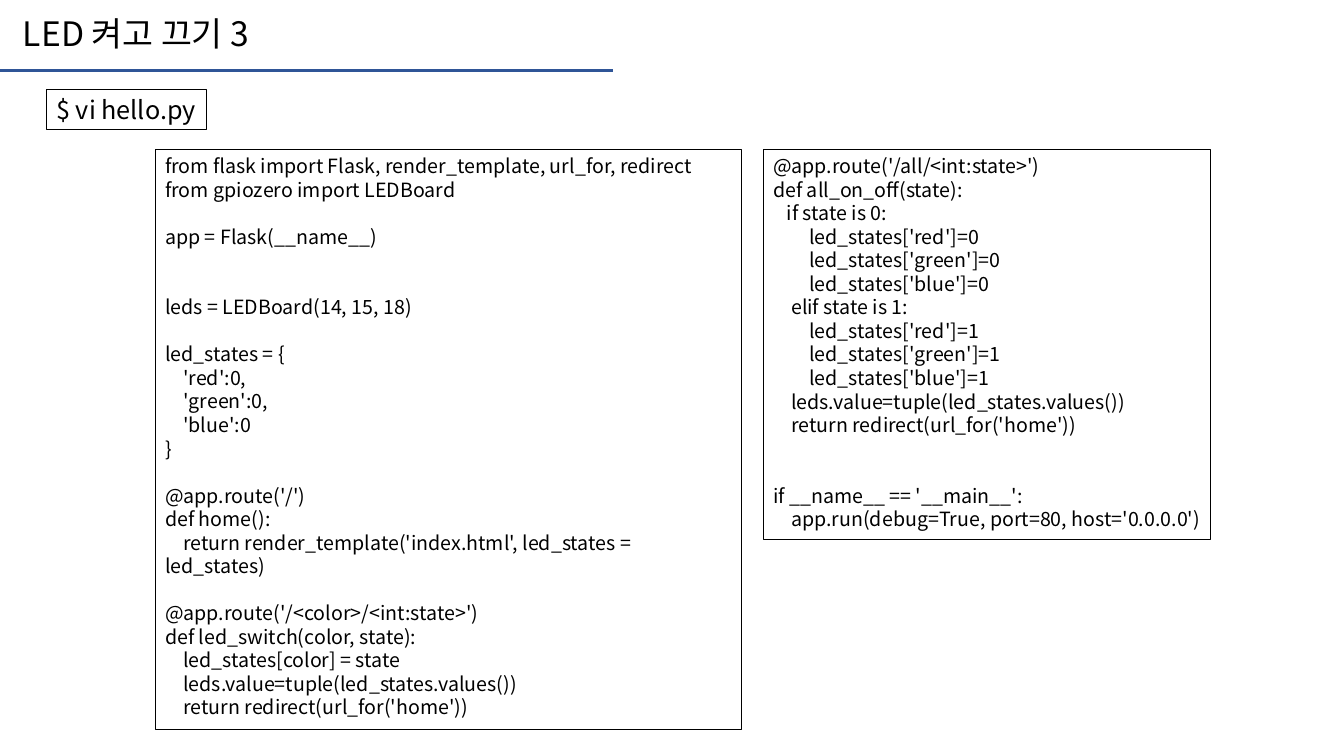
from dataclasses import dataclass

from lxml.etree import SubElement
from pptx import Presentation
from pptx.dml.color import RGBColor as Rgb
from pptx.enum.shapes import MSO_CONNECTOR as Link, MSO_SHAPE as Kind
from pptx.enum.text import MSO_ANCHOR as Anchor, MSO_AUTO_SIZE as Fit, PP_ALIGN as Align
from pptx.oxml.ns import qn
from pptx.util import Inches, Pt


@dataclass(frozen=True)
class Theme:
    font: str = "Noto Sans CJK KR"
    ink: Rgb = Rgb(0, 0, 0)
    rule: Rgb = Rgb(0x2F, 0x55, 0x97)
    title: int = 24
    file: int = 18
    code: int = 14
    edge: float = 0.75
    bar: float = 2
    lead: float = 1.2  # line pitch as a share of the type size
    space: float = 0.23  # width of one space of code indent, same share


THEME = Theme()

LEFT = """\
from flask import Flask, render_template, url_for, redirect
from gpiozero import LEDBoard

app = Flask(__name__)


leds = LEDBoard(14, 15, 18)

led_states = {
    'red':0,
    'green':0,
    'blue':0
}

@app.route('/')
def home():
    return render_template('index.html', led_states = led_states)

@app.route('/<color>/<int:state>')
def led_switch(color, state):
    led_states[color] = state
    leds.value=tuple(led_states.values())
    return redirect(url_for('home'))"""

RIGHT = """\
@app.route('/all/<int:state>')
def all_on_off(state):
   if state is 0:
        led_states['red']=0
        led_states['green']=0
        led_states['blue']=0
    elif state is 1:
        led_states['red']=1
        led_states['green']=1
        led_states['blue']=1
    leds.value=tuple(led_states.values())
    return redirect(url_for('home'))


if __name__ == '__main__':
    app.run(debug=True, port=80, host='0.0.0.0')"""


def part(box, x, y, w, h):
    """Return the part of a box given by percent shares."""
    left, top, wide, high = box
    return (int(left + wide * x / 100), int(top + high * y / 100),
            int(wide * w / 100), int(high * h / 100))


def write(frame, text, size, wrap):
    """Set lines of text; blank lines become spacing, lead spaces an indent."""
    frame.word_wrap = wrap
    frame.auto_size = Fit.SHAPE_TO_FIT_TEXT
    frame.vertical_anchor = Anchor.TOP
    pitch = size * THEME.lead
    lines = text.split("\n")
    frame.text = "\n".join(line.strip() for line in lines if line)
    paras = iter(frame.paragraphs)
    gap = 0
    for line in lines:
        if not line:
            gap += 1
            continue
        para = next(paras)
        para.alignment = Align.LEFT
        para.line_spacing = Pt(pitch)
        para.space_before = Pt(gap * pitch)
        gap = 0
        depth = len(line) - len(line.lstrip())
        if depth:
            props = para._p.get_or_add_pPr()
            props.set("marL", "0")
            props.set("indent", str(int(Pt(depth * size * THEME.space))))
        for run in para.runs:
            run.font.name = THEME.font
            run.font.size = Pt(size)
            run.font.color.rgb = THEME.ink
            # East Asian face for the Korean letters
            SubElement(run.font._element, qn("a:ea"), typeface=THEME.font)


def header(slide, box, text):
    # Rule along the lower edge
    left, top, wide, high = box
    rule = slide.shapes.add_connector(
        Link.STRAIGHT, left, top + high, left + wide, top + high)
    rule.line.color.rgb = THEME.rule
    rule.line.width = Pt(THEME.bar)
    SubElement(rule._element.spPr, qn("a:effectLst"))
    # Title
    title = slide.shapes.add_textbox(*part(box, 2.14, 11.43, 46.38, 71.43))
    write(title.text_frame, text, THEME.title, False)


def panel(slide, box, text, size, wrap=True):
    # Outlined box with its text
    rect = slide.shapes.add_shape(Kind.RECTANGLE, *box)
    rect.shadow.inherit = False
    rect.fill.background()
    rect.line.color.rgb = THEME.ink
    rect.line.width = Pt(THEME.edge)
    write(rect.text_frame, text, size, wrap)


def main():
    deck = Presentation()
    deck.slide_width, deck.slide_height = Inches(13.33), Inches(7.5)
    slide = deck.slides.add_slide(deck.slide_layouts[6])
    page = (0, 0, deck.slide_width, deck.slide_height)

    header(slide, part(page, 0, 0, 45.61, 9.33), "LED 켜고 끄기 3")
    # File name
    panel(slide, part(page, 3.45, 11.87, 11.93, 5.33),
          "$ vi hello.py", THEME.file, False)
    # Code listing in two columns
    for x, wide, high, code in ((11.55, 43.59, 76.8, LEFT),
                                (56.79, 33.31, 51.6, RIGHT)):
        panel(slide, part(page, x, 19.73, wide, high), code, THEME.code)

    deck.save("out.pptx")


if __name__ == "__main__":
    main()
